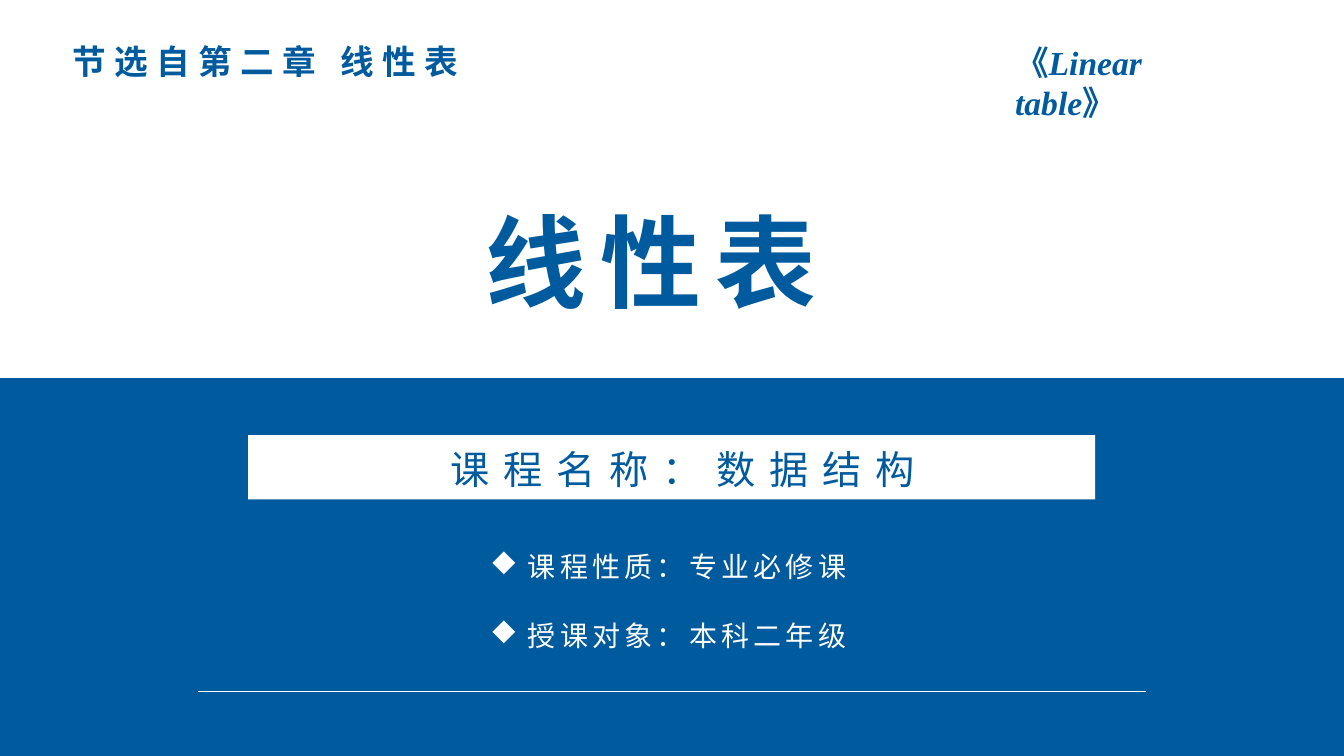
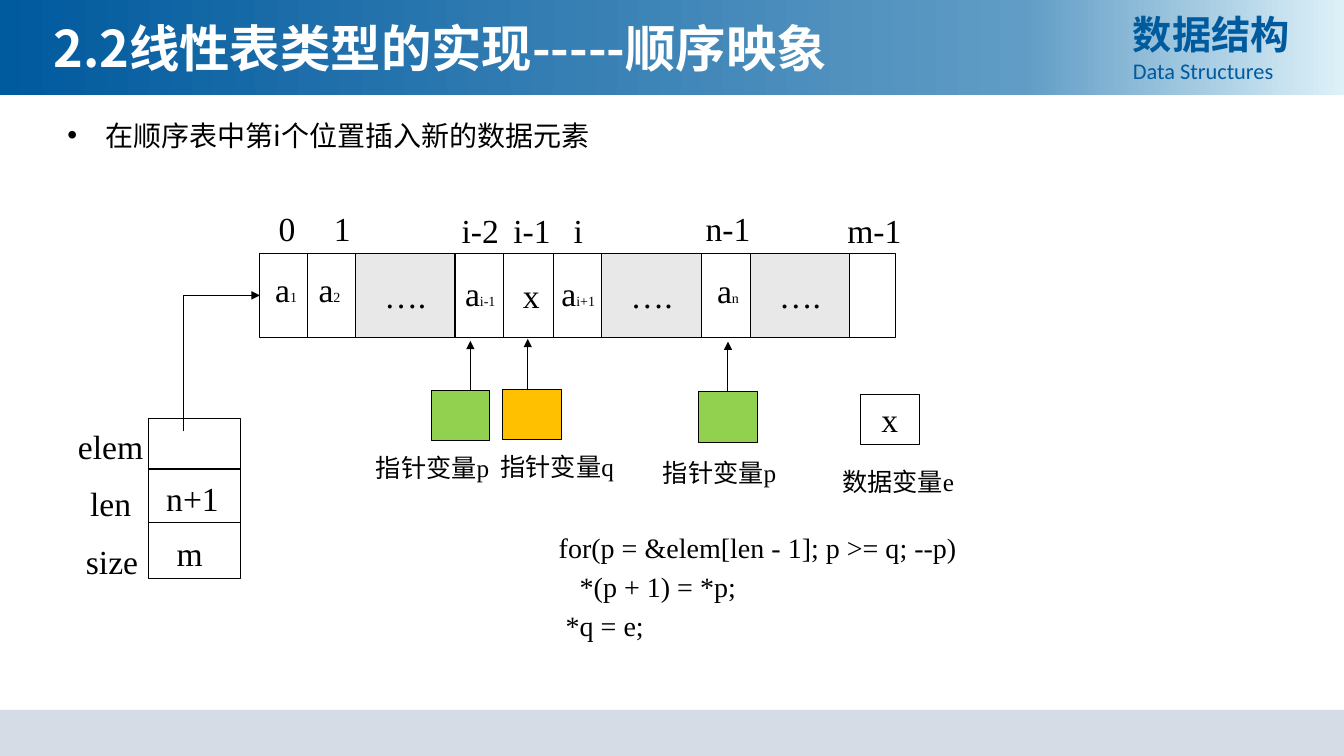
from dataclasses import dataclass
from typing import Optional

from lxml import etree
from pptx import Presentation
from pptx.dml.color import RGBColor
from pptx.enum.shapes import MSO_CONNECTOR, MSO_SHAPE
from pptx.enum.text import MSO_ANCHOR, PP_ALIGN
from pptx.oxml.ns import qn
from pptx.util import Pt

COLORS = {
    "blue": "005A9E",
    "mid_blue": "609CC5",
    "pale_blue": "DEF1F9",
    "white": "FFFFFF",
    "black": "000000",
    "footer": "D6DCE5",
    "gap": "E8E8E8",
    "green": "92D050",
    "orange": "FFC000",
}
SANS = "Noto Sans CJK SC"
SERIF = "Times New Roman"
LATIN_SANS = "Calibri"
RECTANGLE = MSO_SHAPE.RECTANGLE
STRAIGHT = MSO_CONNECTOR.STRAIGHT
LEFT, CENTER, JUSTIFY = PP_ALIGN.LEFT, PP_ALIGN.CENTER, PP_ALIGN.JUSTIFY
TOP, MIDDLE = MSO_ANCHOR.TOP, MSO_ANCHOR.MIDDLE
TOP_SITE, LEFT_SITE = 0, 1
SLIDE_WIDTH, SLIDE_HEIGHT = 960, 540
BULLET_INDENT = 27
HAIRLINE = 0.75


@dataclass(frozen=True)
class Style:
    size: float
    font: str = SERIF
    color: str = "black"
    bold: bool = False
    italic: bool = False
    spacing: float = 0


@dataclass(frozen=True)
class Run:
    text: str
    style: Style


@dataclass(frozen=True)
class Bullet:
    font: str
    character: str


@dataclass(frozen=True)
class Box:
    left: float
    top: float
    width: float
    height: float

    @property
    def center_x(self) -> float:
        return self.left + self.width / 2

    @property
    def center_y(self) -> float:
        return self.top + self.height / 2

    @property
    def bottom(self) -> float:
        return self.top + self.height


@dataclass(frozen=True)
class Label:
    runs: list[Run]
    center_x: float
    center_y: float


@dataclass(frozen=True)
class Variable:
    """A coloured pointer box, its caption and the arrow up to the array."""
    caption: Label
    box: Box
    color: str
    arrow_x: float
    arrow_top: float


HEADING = Style(36, SANS, "white", bold=True)
DIAGRAM = Style(24)
SUBSCRIPT = Style(10)
CAPTION = Style(18)
CODE = Style(20)
COVER_ITEM = Style(20, SANS, "white", spacing=3)
BODY = Style(20, SANS)
DIAMOND = Bullet("Wingdings", "u")
DOT = Bullet("Arial", "•")


def rgb(name: str) -> RGBColor:
    return RGBColor.from_string(COLORS[name])


def add_run(paragraph, run: Run) -> None:
    text_run = paragraph.add_run()
    text_run.text = run.text
    font, style = text_run.font, run.style
    font.name, font.size = style.font, Pt(style.size)
    font.bold, font.italic = style.bold, style.italic
    font.color.rgb = rgb(style.color)
    properties = text_run._r.get_or_add_rPr()
    if style.spacing:
        properties.set("spc", str(int(style.spacing * 100)))
    etree.SubElement(properties, qn("a:ea")).set("typeface", SANS)


def add_bullet(paragraph, bullet: Bullet) -> None:
    properties = paragraph._p.get_or_add_pPr()
    properties.set("marL", str(Pt(BULLET_INDENT)))
    properties.set("indent", str(-Pt(BULLET_INDENT)))
    etree.SubElement(properties, qn("a:buFont")).set("typeface", bullet.font)
    etree.SubElement(properties, qn("a:buChar")).set("char", bullet.character)


def write_paragraphs(shape, paragraphs: list[list[Run]], align=LEFT, anchor=TOP,
                     bullet: Optional[Bullet] = None, space_before: float = 0) -> None:
    frame = shape.text_frame
    frame.word_wrap = True
    frame.vertical_anchor = anchor
    for index, runs in enumerate(paragraphs):
        paragraph = frame.add_paragraph() if index else frame.paragraphs[0]
        if bullet:
            add_bullet(paragraph, bullet)
        paragraph.alignment = align
        if index and space_before:
            paragraph.space_before = Pt(space_before)
        for run in runs:
            add_run(paragraph, run)


def add_text(slide, box: Box, paragraphs: list[list[Run]], **options) -> None:
    shape = slide.shapes.add_textbox(Pt(box.left), Pt(box.top), Pt(box.width), Pt(box.height))
    write_paragraphs(shape, paragraphs, **options)


def add_label(slide, label: Label) -> None:
    """Draw one line centred on a point."""
    width, height = 110, 30
    box = Box(label.center_x - width / 2, label.center_y - height / 2, width, height)
    add_text(slide, box, [label.runs], align=CENTER, anchor=MIDDLE)


def add_rectangle(slide, box: Box, fill: Optional[str] = None, outlined: bool = False):
    shape = slide.shapes.add_shape(RECTANGLE, Pt(box.left), Pt(box.top),
                                   Pt(box.width), Pt(box.height))
    shape.shadow.inherit = False
    if fill:
        shape.fill.solid()
        shape.fill.fore_color.rgb = rgb(fill)
    else:
        shape.fill.background()
    if outlined:
        shape.line.color.rgb = rgb("black")
        shape.line.width = Pt(HAIRLINE)
    else:
        shape.line.fill.background()
    return shape


def add_text_rectangle(slide, box: Box, text: str, fill: Optional[str] = None,
                       outlined: bool = True) -> None:
    shape = add_rectangle(slide, box, fill, outlined)
    shape.text_frame.margin_left = shape.text_frame.margin_right = 0
    write_paragraphs(shape, [[Run(text, DIAGRAM)]], align=CENTER, anchor=MIDDLE)


def add_line(slide, start: tuple[float, float], end: tuple[float, float],
             color: str = "black", width: float = HAIRLINE, arrow: bool = False):
    line = slide.shapes.add_connector(STRAIGHT, Pt(start[0]), Pt(start[1]), Pt(end[0]), Pt(end[1]))
    line.line.color.rgb = rgb(color)
    line.line.width = Pt(width)
    if arrow:
        etree.SubElement(line.line._get_or_add_ln(), qn("a:tailEnd")).set("type", "triangle")
    etree.SubElement(line._element.spPr, qn("a:effectLst"))
    return line


def set_gradient(shape, stops: list[tuple[int, str]]) -> None:
    """Fill from left to right with stops given as percent and colour name."""
    shape.fill.gradient()
    shape.fill.gradient_angle = 0
    stop_list = shape._element.spPr.find(qn("a:gradFill")).find(qn("a:gsLst"))
    for stop in list(stop_list):
        stop_list.remove(stop)
    for percent, color in stops:
        stop = etree.SubElement(stop_list, qn("a:gs"))
        stop.set("pos", str(percent * 1000))
        etree.SubElement(stop, qn("a:srgbClr")).set("val", COLORS[color])


def build_cover(slide) -> None:
    title = Style(72, SANS, "blue", bold=True, spacing=10)
    course = Style(28, SANS, "blue", spacing=10)
    chapter = Style(24, SERIF, "blue", bold=True, spacing=6)
    english = Style(24, SERIF, "blue", bold=True)
    english_italic = Style(24, SERIF, "blue", bold=True, italic=True)

    add_rectangle(slide, Box(0, 270, SLIDE_WIDTH, 270), "blue")
    add_text(slide, Box(340, 139, 281, 94), [[Run("线性表", title)]], align=JUSTIFY)
    for index, item in enumerate(["课程性质：专业必修课", "授课对象：本科二年级"]):
        add_text(slide, Box(343, 389 + index * 49.5, 311, 32), [[Run(item, COVER_ITEM)]],
                 bullet=DIAMOND)
    add_rectangle(slide, Box(177.3, 310.8, 605, 46), "white")
    add_line(slide, (141.3, 494), (818.6, 494), "white", 1)
    add_text(slide, Box(236, 314.5, 503, 41), [[Run("课程名称：数据结构", course)]], align=CENTER)
    add_text(slide, Box(718, 26.2, 173.5, 36),
             [[Run("《", english), Run("Linear table", english_italic), Run("》", english)]])
    add_text(slide, Box(36, 26, 307, 37), [[Run("节选自第二章 线性表", chapter)]], align=CENTER)


def add_content_frame(slide, heading: str) -> None:
    """Draw the header band, heading, course name and footer band."""
    header = add_rectangle(slide, Box(0, 0, SLIDE_WIDTH, 68), "blue")
    set_gradient(header, [(0, "blue"), (76, "mid_blue"), (100, "pale_blue")])
    add_text(slide, Box(31, 8.5, 621, 51), [[Run(heading, HEADING)]])
    add_rectangle(slide, Box(0, 507, SLIDE_WIDTH, 33), "footer")
    add_text(slide, Box(802.2, 3.5, 138, 60),
             [[Run("数据结构", Style(28, SANS, "blue", bold=True))],
              [Run("Data Structures", Style(16, LATIN_SANS, "blue"))]], align=JUSTIFY)


def add_array(slide):
    array = Box(185.6, 181, 454.4, 60)
    outline = add_rectangle(slide, array, outlined=True)
    for x in (219.5, 359.4, 395.4):
        add_line(slide, (x, array.top), (x, array.bottom))
    for left in (254, 430, 536):
        add_text_rectangle(slide, Box(left, array.top, 71, array.height), "….", "gap")

    indexes = [("0", 205, 163), ("1", 244.5, 163), ("i-2", 343, 164.5), ("i-1", 380, 164.5),
               ("i", 413, 164.5), ("n-1", 520, 163), ("m-1", 624.5, 164.5)]
    for text, x, y in indexes:
        add_label(slide, Label([Run(text, DIAGRAM)], x, y))
    elements = [("1", 204.3, 206.5), ("2", 235.3, 206.5), ("i-1", 343, 209),
                ("i+1", 413, 209), ("n", 520, 207.5)]
    for subscript, x, y in elements:
        add_label(slide, Label([Run("a", DIAGRAM), Run(subscript, SUBSCRIPT)], x, y))
    add_text_rectangle(slide, Box(364.5, 189.5, 30, 42), "x", "white", outlined=False)
    return outline, array


def add_list_record(slide, array_outline, array: Box) -> None:
    """Draw the elem, len and size fields and the link to the array."""
    record = Box(106, 299, 66, 114)
    add_rectangle(slide, record, outlined=True)
    for y in (335, 373):
        add_line(slide, (record.left, y), (record.left + record.width, y))
    fields = [("elem", 79, 318.5), ("len", 79, 359), ("size", 80, 400.5), ("m", 135.5, 395)]
    for text, x, y in fields:
        add_label(slide, Label([Run(text, DIAGRAM)], x, y))
    add_text_rectangle(slide, Box(117, 344, 41, 24), "n+1", "white", outlined=False)
    corner = (131, array.center_y)
    add_line(slide, (corner[0], 308), corner)
    link = add_line(slide, corner, (array.left, array.center_y), arrow=True)
    link.end_connect(array_outline, LEFT_SITE)


def add_variable(slide, variable: Variable) -> None:
    box = variable.box
    shape = add_rectangle(slide, box, variable.color, outlined=True)
    add_label(slide, variable.caption)
    arrow = add_line(slide, (variable.arrow_x, box.top),
                     (variable.arrow_x, variable.arrow_top), arrow=True)
    if variable.arrow_x == box.center_x:
        arrow.begin_connect(shape, TOP_SITE)


def build_insertion(slide) -> None:
    add_content_frame(slide, "2.2线性表类型的实现-----顺序映象")
    add_text(slide, Box(41, 81, 648, 384), [[Run("在顺序表中第i个位置插入新的数据元素", BODY)]],
             bullet=DOT)
    array_outline, array = add_array(slide)
    add_list_record(slide, array_outline, array)

    width, height = 42, 36
    variables = [
        Variable(Label([Run("指针变量p", CAPTION)], 309, 334),
                 Box(308, 279, width, height), "green", 336, 243.5),
        Variable(Label([Run("指针变量q", CAPTION)], 398, 333.5),
                 Box(359, 278, width, height), "orange", 377, 242),
        Variable(Label([Run("指针变量p", CAPTION)], 514, 337.5),
                 Box(499, 280, width, height), "green", 520, 244),
    ]
    for variable in variables:
        add_variable(slide, variable)
    add_text_rectangle(slide, Box(614.5, 281.5, width, height), "x")
    add_label(slide, Label([Run("数据变量e", CAPTION)], 641.5, 344))

    code = ["for(p = &elem[len - 1]; p >= q; --p)", "   *(p + 1) = *p;", " *q = e;"]
    add_text(slide, Box(392, 383, 384, 72), [[Run(line, CODE)] for line in code],
             anchor=MIDDLE, space_before=4)


def main() -> None:
    presentation = Presentation()
    presentation.slide_width, presentation.slide_height = Pt(SLIDE_WIDTH), Pt(SLIDE_HEIGHT)
    blank = presentation.slide_layouts[6]
    for build in (build_cover, build_insertion):
        build(presentation.slides.add_slide(blank))
    presentation.save("out.pptx")


if __name__ == "__main__":
    main()
